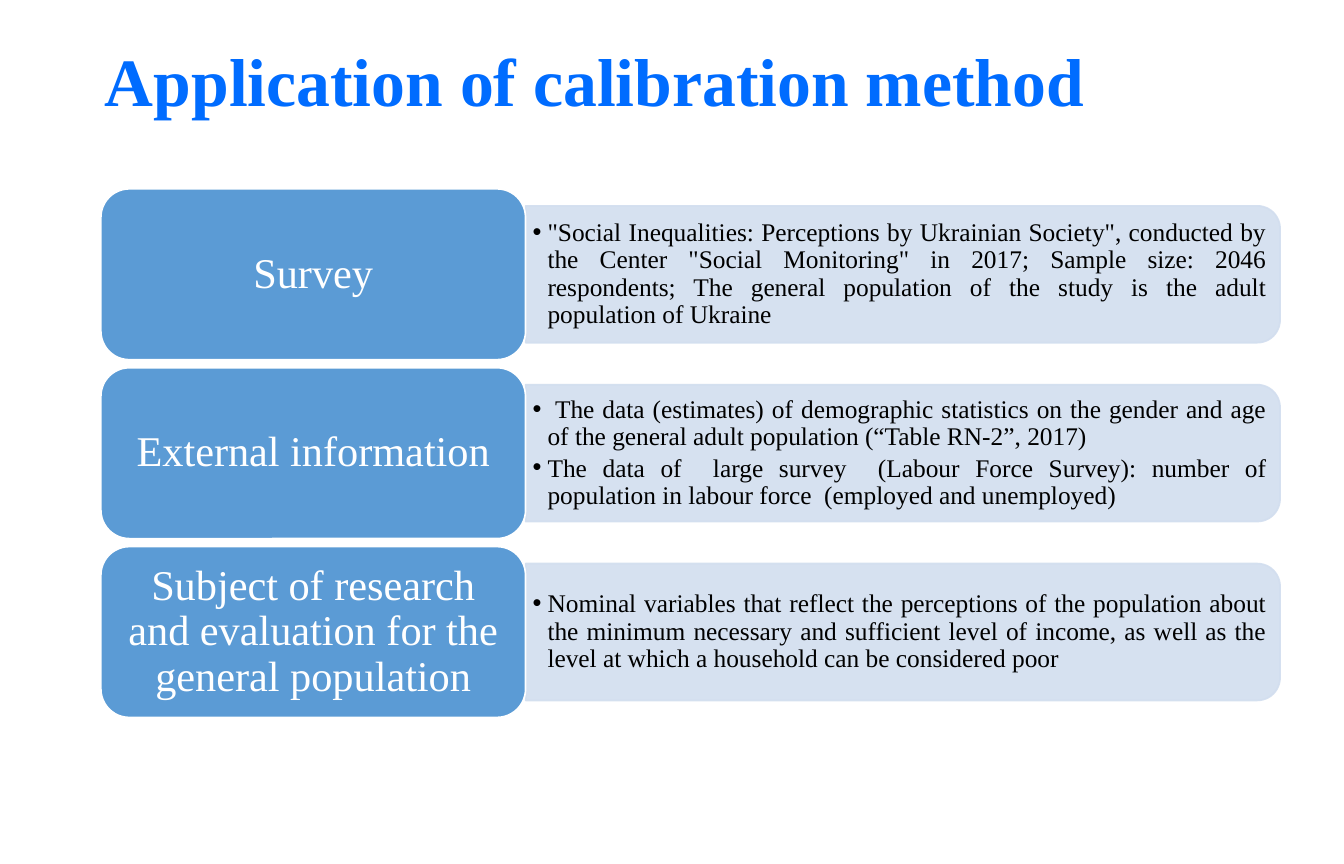
from dataclasses import dataclass

from lxml.etree import SubElement
from pptx import Presentation
from pptx.dml.color import RGBColor
from pptx.enum.shapes import MSO_SHAPE
from pptx.enum.text import MSO_ANCHOR, MSO_AUTO_SIZE, PP_ALIGN
from pptx.oxml.ns import qn
from pptx.shapes.autoshape import Shape
from pptx.slide import Slide
from pptx.text.text import TextFrame, _Paragraph as Paragraph
from pptx.util import Emu, Pt

EMU_PER_PX = 7495
SLIDE_WIDTH, SLIDE_HEIGHT = Emu(10080625), Emu(6480175)
FONT = "Times New Roman"
COLORS = {
    "title": "006CFF",
    "topic": "5B9BD5",
    "detail": "D2DEEF",
    "white": "FFFFFF",
    "black": "000000",
}
TOPIC_LEFT, FIRST_TOP, ROW_PITCH = 101, 189, 179
TOPIC_WIDTH, TOPIC_HEIGHT = 425, 171
DETAIL_WIDTH, DETAIL_HEIGHT = 755, 137
DETAIL_TEXT_WIDTH, DETAIL_TEXT_HEIGHT = 749, 123
BULLET_INDENT = 15


@dataclass(frozen=True)
class Row:
    topic: str
    details: tuple[str, ...]


ROWS = (
    Row("Survey", (
        '"Social Inequalities: Perceptions by Ukrainian Society", conducted by '
        'the Center "Social Monitoring" in 2017; Sample size: 2046 respondents; '
        "The general population of the study is the adult population of Ukraine",
    )),
    Row("External information", (
        " The data (estimates) of demographic statistics on the gender and age "
        "of the general adult population (“Table RN-2”, 2017)",
        "The data of  large survey  (Labour Force Survey): number of "
        "population in labour force  (employed and unemployed)",
    )),
    Row("Subject of research and evaluation for the general population", (
        "Nominal variables that reflect the perceptions of the population about "
        "the minimum necessary and sufficient level of income, as well as the "
        "level at which a household can be considered poor",
    )),
)


def px(length: float) -> Emu:
    return Emu(round(length * EMU_PER_PX))


def rgb(name: str) -> RGBColor:
    return RGBColor.from_string(COLORS[name])


def set_frame(frame: TextFrame, inset_x: int, inset_y: int) -> None:
    frame.word_wrap = True
    frame.auto_size = MSO_AUTO_SIZE.NONE
    frame.vertical_anchor = MSO_ANCHOR.MIDDLE
    frame.margin_left = frame.margin_right = px(inset_x)
    frame.margin_top = frame.margin_bottom = px(inset_y)


def format_paragraph(paragraph: Paragraph, size: int, color: str,
                     align: PP_ALIGN, bold: bool = False) -> None:
    paragraph.alignment = align
    paragraph.line_spacing = 0.9
    for run in paragraph.runs:
        run.font.name = FONT
        run.font.size = Pt(size)
        run.font.bold = bold
        run.font.color.rgb = rgb(color)


def add_bullet(paragraph: Paragraph) -> None:
    properties = paragraph._p.get_or_add_pPr()
    properties.set("marL", str(px(BULLET_INDENT)))
    properties.set("indent", str(-px(BULLET_INDENT)))
    SubElement(properties, qn("a:buFont"), typeface="Arial")
    SubElement(properties, qn("a:buChar"), char="•")


def add_panel(slide: Slide, kind: MSO_SHAPE, left: float, top: float,
              width: int, height: int, fill: str, line: str) -> Shape:
    panel = slide.shapes.add_shape(kind, px(left), px(top), px(width), px(height))
    panel.shadow.inherit = False
    panel.fill.solid()
    panel.fill.fore_color.rgb = rgb(fill)
    panel.line.color.rgb = rgb(line)
    panel.line.width = Pt(1)
    return panel


def add_title(slide: Slide) -> None:
    title = slide.shapes.title
    title.left, title.top, title.width, title.height = px(93), px(0), px(1160), px(169)
    title.text_frame.text = "Application of calibration method"
    set_frame(title.text_frame, 12, 6)
    format_paragraph(title.text_frame.paragraphs[0], 40, "title", PP_ALIGN.LEFT, bold=True)


def add_detail(slide: Slide, details: tuple[str, ...], middle: float) -> None:
    """Draw the panel as a tall shape turned a quarter, with upright text over it."""
    left = TOPIC_LEFT + TOPIC_WIDTH
    panel = add_panel(slide, MSO_SHAPE.ROUND_2_SAME_RECTANGLE,
                      left + (DETAIL_WIDTH - DETAIL_HEIGHT) / 2, middle - DETAIL_WIDTH / 2,
                      DETAIL_HEIGHT, DETAIL_WIDTH, "detail", "detail")
    panel.rotation = 90
    for color in panel.element.spPr.iter(qn("a:srgbClr")):
        SubElement(color, qn("a:alpha"), val="90000")

    frame = slide.shapes.add_textbox(
        px(left), px(middle - DETAIL_TEXT_HEIGHT / 2),
        px(DETAIL_TEXT_WIDTH), px(DETAIL_TEXT_HEIGHT)).text_frame
    set_frame(frame, 7, 4)
    frame.text = "\n".join(details)
    for paragraph in frame.paragraphs:
        paragraph.level = 1
        paragraph.space_after = Pt(2.25)
        format_paragraph(paragraph, 15, "black", PP_ALIGN.JUSTIFY)
        add_bullet(paragraph)


def add_topic(slide: Slide, topic: str, top: int) -> None:
    panel = add_panel(slide, MSO_SHAPE.ROUNDED_RECTANGLE, TOPIC_LEFT, top,
                      TOPIC_WIDTH, TOPIC_HEIGHT, "topic", "white")
    set_frame(panel.text_frame, 12, 6)
    panel.text_frame.text = topic
    format_paragraph(panel.text_frame.paragraphs[0], 25, "white", PP_ALIGN.CENTER)


def main() -> None:
    presentation = Presentation()
    presentation.slide_width, presentation.slide_height = SLIDE_WIDTH, SLIDE_HEIGHT
    slide = presentation.slides.add_slide(presentation.slide_layouts.get_by_name("Title Only"))
    add_title(slide)
    for index, row in enumerate(ROWS):
        top = FIRST_TOP + index * ROW_PITCH
        add_detail(slide, row.details, top + TOPIC_HEIGHT / 2)
        add_topic(slide, row.topic, top)
    presentation.save("out.pptx")


if __name__ == "__main__":
    main()
